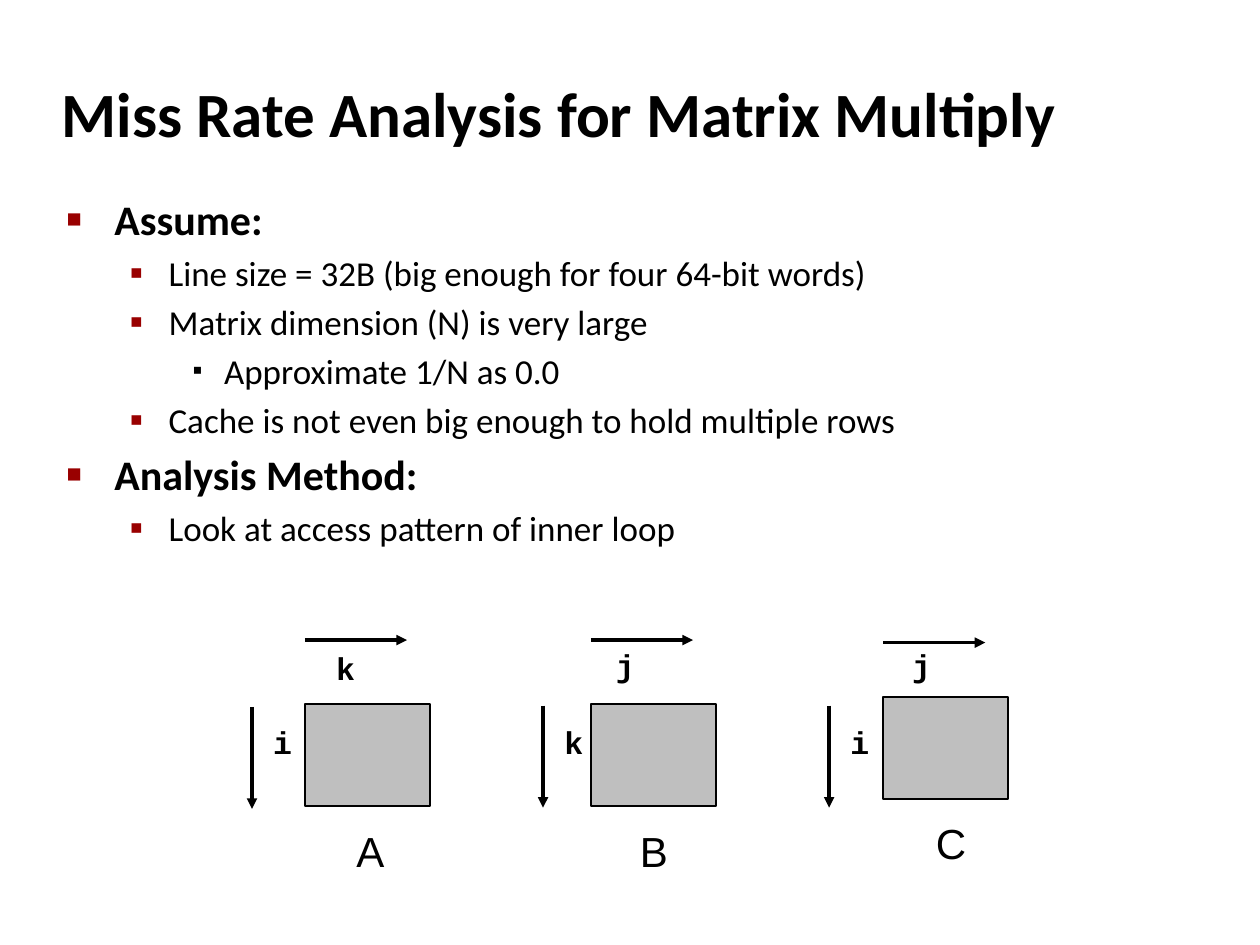
from dataclasses import dataclass

from lxml import etree
from pptx import Presentation
from pptx.dml.color import RGBColor
from pptx.enum.shapes import MSO_CONNECTOR, MSO_SHAPE
from pptx.enum.text import MSO_ANCHOR, PP_ALIGN
from pptx.oxml.ns import qn
from pptx.util import Inches, Pt

RECTANGLE = MSO_SHAPE.RECTANGLE
STRAIGHT = MSO_CONNECTOR.STRAIGHT
MIDDLE = MSO_ANCHOR.MIDDLE
TOP = MSO_ANCHOR.TOP
LEFT = PP_ALIGN.LEFT

SLIDE_WIDTH, SLIDE_HEIGHT = Inches(10), Inches(7.5)
COLUMN, ROW = SLIDE_WIDTH / 100, SLIDE_HEIGHT / 75
BLACK, WHITE, GRAY, RED = "000000", "FFFFFF", "BFBFBF", "990000"

TITLE_FONT = {"name": "Calibri", "size": Pt(36), "bold": True}
INDEX_FONT = {"name": "Courier New", "size": Pt(18), "bold": True}
NAME_FONT = {"name": "Arial", "size": Pt(24), "bold": False}

LEVELS = [
    {"size": 24, "bold": True, "margin": 0.38, "hanging": 0.38,
     "bullet": "■", "scale": 60, "color": RED},
    {"size": 20, "bold": False, "margin": 0.81, "hanging": 0.31,
     "bullet": "▪", "scale": 110, "color": RED},
    {"size": 20, "bold": False, "margin": 1.25, "hanging": 0.25,
     "bullet": "▪", "scale": 80, "color": BLACK},
]

OUTLINE = [
    (0, "Assume:"),
    (1, "Line size = 32B (big enough for four 64-bit words)"),
    (1, "Matrix dimension (N) is very large"),
    (2, "Approximate 1/N as 0.0"),
    (1, "Cache is not even big enough to hold multiple rows"),
    (0, "Analysis Method:"),
    (1, "Look at access pattern of inner loop"),
]


@dataclass
class Matrix:
    """Wording and grid places of one matrix diagram."""
    name: str
    row_index: str
    column_index: str
    left: float
    top: float
    name_left: float
    row_arrow: tuple
    column_arrow_top: float
    column_label: tuple


MATRICES = [
    Matrix("A", "i", "k", 24.2, 55.9, 27.3, (20, 56.1), 50.8, (25.7, 51)),
    Matrix("B", "k", "j", 46.9, 55.9, 49.8, (43.1, 56), 50.8, (47.9, 50.8)),
    Matrix("C", "i", "j", 70.1, 55.3, 73.3, (65.8, 56), 51, (71.4, 50.8)),
]


def color(value):
    """Turn a hex string into a colour."""
    return RGBColor.from_string(value)


def place(left, top, width, height):
    """Turn grid columns and rows into slide lengths."""
    return (round(left * COLUMN), round(top * ROW),
            round(width * COLUMN), round(height * ROW))


def style_font(font, values):
    """Apply format values to a black font."""
    for attribute, value in values.items():
        setattr(font, attribute, value)
    font.color.rgb = color(BLACK)


def add_text(slide, box, text, font_values, anchor=TOP, wrap=False, fill=None):
    """Add a left-aligned line of text."""
    shape = slide.shapes.add_textbox(*place(*box))
    if fill:
        shape.fill.solid()
        shape.fill.fore_color.rgb = color(fill)
    frame = shape.text_frame
    frame.word_wrap = wrap
    frame.vertical_anchor = anchor
    paragraph = frame.paragraphs[0]
    paragraph.text = text
    paragraph.alignment = LEFT
    style_font(paragraph.font, font_values)


def add_bullet(paragraph, level):
    """Give a paragraph its hanging indent and coloured bullet."""
    properties = paragraph._p.get_or_add_pPr()
    properties.set("marL", str(Inches(level["margin"])))
    properties.set("indent", str(-Inches(level["hanging"])))
    bullet_color = etree.SubElement(properties, qn("a:buClr"))
    etree.SubElement(bullet_color, qn("a:srgbClr"), val=level["color"])
    etree.SubElement(properties, qn("a:buSzPct"), val=str(level["scale"] * 1000))
    etree.SubElement(properties, qn("a:buFont"), typeface="Arial")
    etree.SubElement(properties, qn("a:buChar"), char=level["bullet"])


def add_outline(slide, box, items):
    """Add the bulleted outline."""
    frame = slide.shapes.add_textbox(*place(*box)).text_frame
    frame.word_wrap = True
    for number, (depth, text) in enumerate(items):
        level = LEVELS[depth]
        paragraph = frame.add_paragraph() if number else frame.paragraphs[0]
        paragraph.text = text
        paragraph.level = depth
        add_bullet(paragraph, level)
        paragraph.space_before = Pt(0.2 * level["size"] if number else 0)
        style_font(paragraph.font, {"name": "Calibri", "size": Pt(level["size"]),
                                    "bold": level["bold"]})


def add_arrow(slide, left, top, across, down):
    """Add an arrow that runs across or down from a grid point."""
    x, y, width, height = place(left, top, across, down)
    arrow = slide.shapes.add_connector(STRAIGHT, x, y, x + width, y + height)
    arrow.line.color.rgb = color(BLACK)
    arrow.line.width = Pt(2)
    etree.SubElement(arrow.line._get_or_add_ln(), qn("a:tailEnd"), type="triangle")
    etree.SubElement(arrow._element.spPr, qn("a:effectLst"))


def add_matrix(slide, matrix):
    """Add a matrix square with its name, index labels and arrows."""
    row_left, row_top = matrix.row_arrow
    add_text(slide, (row_left + 0.7, 56.9, 3.5, 4), matrix.row_index,
             INDEX_FONT, fill=WHITE)
    add_text(slide, (*matrix.column_label, 3.5, 4), matrix.column_index,
             INDEX_FONT, fill=WHITE)
    square = slide.shapes.add_shape(
        RECTANGLE, *place(matrix.left, matrix.top, 9.9, 8.1))
    square.shadow.inherit = False
    square.fill.solid()
    square.fill.fore_color.rgb = color(GRAY)
    square.line.color.rgb = color(BLACK)
    square.line.width = Pt(1)
    add_text(slide, (matrix.name_left, matrix.top + 9.1, 4.4, 5),
             matrix.name, NAME_FONT)
    add_arrow(slide, row_left, row_top, 0, 8.1)
    add_arrow(slide, matrix.left, matrix.column_arrow_top, 8.1, 0)


def main():
    """Build and save the slide."""
    presentation = Presentation()
    presentation.slide_width = SLIDE_WIDTH
    presentation.slide_height = SLIDE_HEIGHT
    slide = presentation.slides.add_slide(presentation.slide_layouts[6])
    add_text(slide, (3.9, 4.8, 83, 8.3), "Miss Rate Analysis for Matrix Multiply",
             TITLE_FONT, anchor=MIDDLE, wrap=True)
    add_outline(slide, (4.3, 14.9, 86.4, 54.4), OUTLINE)
    for matrix in MATRICES:
        add_matrix(slide, matrix)
    presentation.save("out.pptx")


if __name__ == "__main__":
    main()
